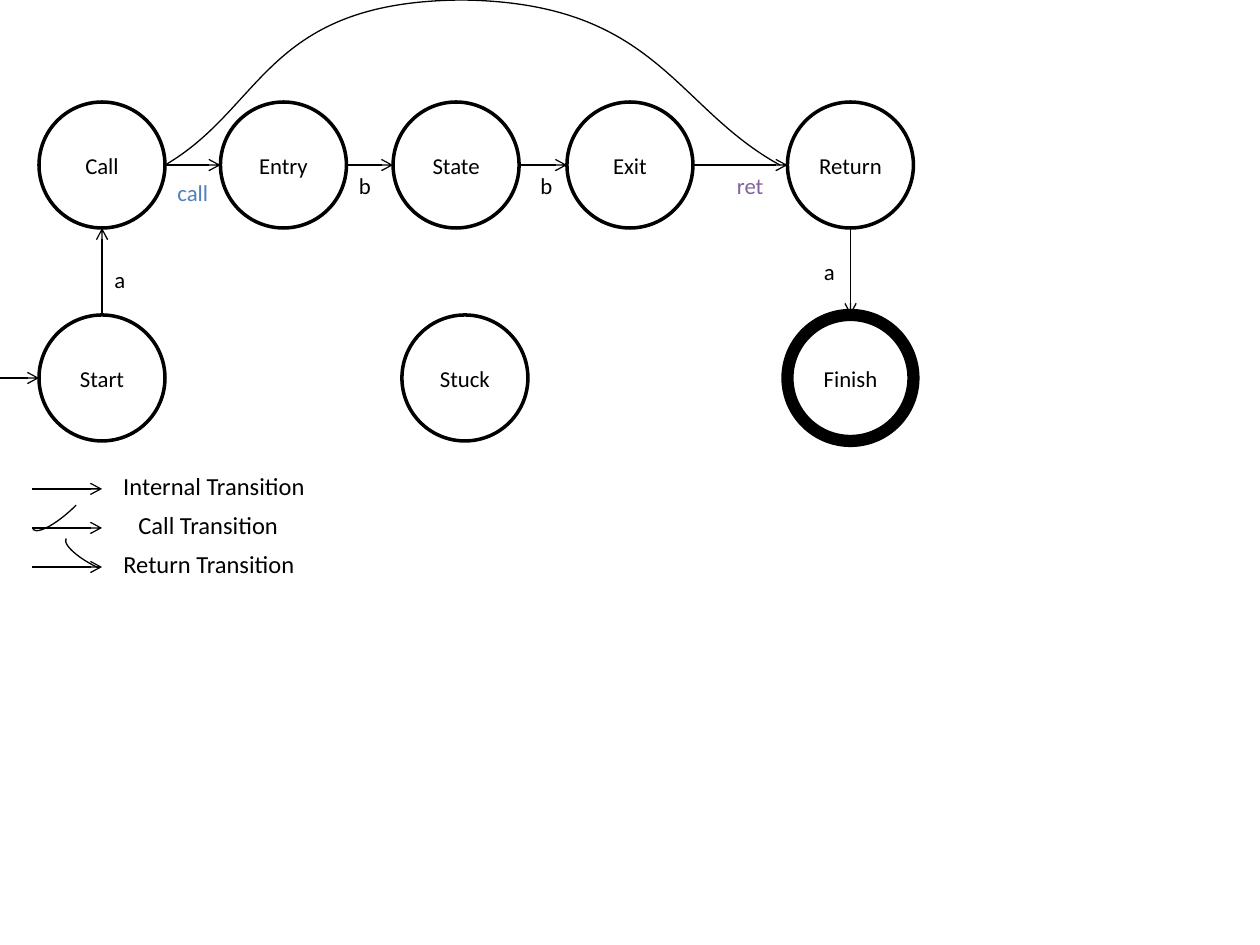
"""Build a state diagram slide with call, internal and return transitions."""
from lxml import etree
from pptx import Presentation
from pptx.dml.color import RGBColor
from pptx.enum.shapes import MSO_CONNECTOR, MSO_SHAPE
from pptx.enum.text import MSO_ANCHOR, MSO_AUTO_SIZE, PP_ALIGN
from pptx.oxml.ns import qn
from pptx.util import Inches, Pt

BLACK = RGBColor(0x00, 0x00, 0x00)
WHITE = RGBColor(0xFF, 0xFF, 0xFF)
BLUE = RGBColor(0x4F, 0x81, 0xBD)
PURPLE = RGBColor(0x80, 0x64, 0xA2)
STRAIGHT = MSO_CONNECTOR.STRAIGHT
CIRCLE = MSO_SHAPE.FLOWCHART_CONNECTOR
ARC = MSO_SHAPE.ARC
MIDDLE = MSO_ANCHOR.MIDDLE
CENTER = PP_ALIGN.CENTER
GROW = MSO_AUTO_SIZE.SHAPE_TO_FIT_TEXT
TOP_ROW, BOTTOM_ROW, SIZE = 0.81, 2.5, 1
TOP_MID, BOTTOM_MID = 1.31, 3


def style_text(sp, text, size, color):
    tf = sp.text_frame
    tf.word_wrap = False
    p = tf.paragraphs[0]
    p.text = text
    p.font.name = "Calibri"
    p.font.size = Pt(size)
    p.font.color.rgb = color
    return tf


def style_line(sp, width):
    sp.line.color.rgb = BLACK
    sp.line.width = Pt(width)


prs = Presentation()
prs.slide_width, prs.slide_height = Inches(10), Inches(7.5)
shapes = prs.slides.add_slide(prs.slide_layouts[6]).shapes

states = [
    ("Start", 0.31, BOTTOM_ROW, 2),
    ("Call", 0.31, TOP_ROW, 2),
    ("Entry", 1.75, TOP_ROW, 2),
    ("State", 3.12, TOP_ROW, 2),
    ("Exit", 4.5, TOP_ROW, 2),
    ("Return", 6.25, TOP_ROW, 2),
    ("Stuck", 3.19, BOTTOM_ROW, 2),
    ("Finish", 6.25, BOTTOM_ROW, 7),
]
for name, x, y, width in states:
    sp = shapes.add_shape(CIRCLE, Inches(x), Inches(y), Inches(SIZE), Inches(SIZE))
    sp.shadow.inherit = False
    sp.fill.solid()
    sp.fill.fore_color.rgb = WHITE
    style_line(sp, width)
    tf = style_text(sp, name, 13, BLACK)
    tf.vertical_anchor = MIDDLE
    tf.paragraphs[0].alignment = CENTER

legend = [("Internal Transition", 0.88, 1.66),
          ("Call Transition", 1, 1.33),
          ("Return Transition", 0.88, 1.58)]
legend_ys = [3.88 + 0.31 * i for i in range(len(legend))]

arrows = [
    (0, BOTTOM_MID, 0.31, BOTTOM_MID),
    (0.81, 2.5, 0.81, 1.81),
    (6.75, 1.81, 6.75, 2.5),
]
arrows += [(x1, TOP_MID, x2, TOP_MID) for x1, x2 in
           [(1.31, 1.75), (2.75, 3.12), (4.12, 4.5), (5.5, 6.25)]]
arrows += [(0.25, y, 0.81, y) for y in legend_ys]
for ends in arrows:
    cn = shapes.add_connector(STRAIGHT, *[Inches(v) for v in ends])
    style_line(cn, 0.75)
    ln = cn.line._get_or_add_ln()
    etree.SubElement(ln, qn("a:tailEnd"), type="arrow")
    etree.SubElement(cn._element.spPr, qn("a:effectLst"))

start = (1.31, 1.31)
curves = [[(2.1, 0.85), (2.11, 0.01), (3.67, 0)],
          [(5.21, 0.02), (5.35, 0.85), (6.19, 1.31)]]
builder = shapes.build_freeform(Inches(start[0]), Inches(start[1]))
builder.add_line_segments([(Inches(c[-1][0]), Inches(c[-1][1])) for c in curves], close=False)
sp = builder.convert_to_shape()
sp.shadow.inherit = False
sp.fill.background()
style_line(sp, 0.75)
segments = list(sp._element.iter(qn("a:lnTo")))
for segment, curve in zip(segments, curves):
    bezier = etree.Element(qn("a:cubicBezTo"))
    for x, y in curve:
        etree.SubElement(bezier, qn("a:pt"), x=str(Inches(x) - sp.left), y=str(Inches(y) - sp.top))
    segment.getparent().replace(segment, bezier)

for x, y, w, h, angle in [(0.15, 3.83, 0.76, 0.21, 135.3), (0.49, 4.32, 0.68, 0.2, 205.5)]:
    sp = shapes.add_shape(ARC, Inches(x), Inches(y), Inches(w), Inches(h))
    sp.rotation = angle
    sp.shadow.inherit = False
    sp.fill.background()
    style_line(sp, 0.75)

labels = [
    ("a", 0.81, 2.06, 0.29, 0.32, 13, BLACK),
    ("call", 1.31, 1.37, 0.45, 0.32, 13, BLUE),
    ("b", 2.75, 1.31, 0.3, 0.32, 13, BLACK),
    ("b", 4.19, 1.31, 0.3, 0.32, 13, BLACK),
    ("ret", 5.75, 1.31, 0.41, 0.32, 13, PURPLE),
    ("a", 6.44, 2, 0.29, 0.32, 13, BLACK),
]
labels += [(text, x, y - 0.19, w, 0.34, 14, BLACK)
           for (text, x, w), y in zip(legend, legend_ys)]
for text, x, y, w, h, size, color in labels:
    sp = shapes.add_textbox(Inches(x), Inches(y), Inches(w), Inches(h))
    style_text(sp, text, size, color).auto_size = GROW

prs.save("out.pptx")
